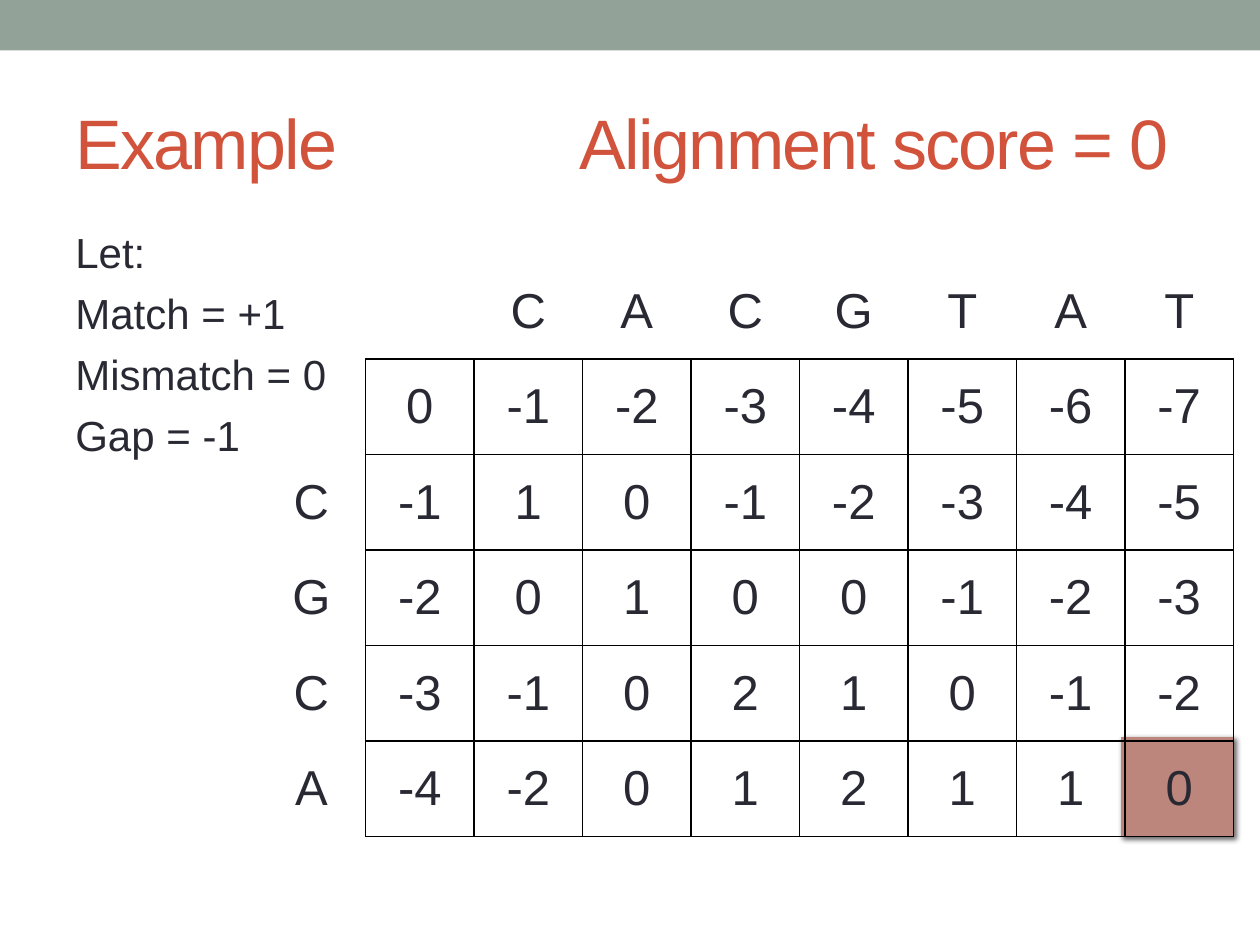
from dataclasses import dataclass
from itertools import product

from lxml.etree import SubElement
from pptx import Presentation
from pptx.dml.color import RGBColor as RGB
from pptx.enum.shapes import MSO_SHAPE as Shape
from pptx.enum.text import MSO_ANCHOR as Anchor, PP_ALIGN as Align
from pptx.oxml.ns import qn
from pptx.util import Emu, Inches, Pt

SLIDE_W, SLIDE_H = Inches(10), Inches(7.5)
TOP_SEQ, SIDE_SEQ = "CACGTAT", "CGCA"
MATCH, MISMATCH, GAP = 1, 0, -1


@dataclass(frozen=True)
class Theme:
    font: str = "Arial"
    band: str = "93A299"
    title: str = "D2533C"
    text: str = "292934"
    highlight: str = "BD867C"
    border: str = "000000"
    title_size: int = 40
    body_size: int = 24
    cell_size: int = 28


@dataclass(frozen=True)
class Box:
    x: int
    y: int
    w: int
    h: int

    @classmethod
    def share(cls, x, y, w, h):
        """Box given as percentages of the slide's width and height."""
        return cls(*(Emu(round(v * side / 100)) for v, side in
                     zip((x, y, w, h), (SLIDE_W, SLIDE_H) * 2)))

    def cell(self, row, col, rows, cols):
        w, h = self.w / cols, self.h / rows
        return Box(*(Emu(round(v)) for v in (self.x + col * w, self.y + row * h, w, h)))

    def grow(self, left, top):
        return Box(self.x - left, self.y - top, self.w + left, self.h + top)

    @property
    def at(self):
        return self.x, self.y, self.w, self.h


THEME = Theme()


def alignment_scores(top, side):
    """Fill the global alignment matrix, one list per row."""
    scores = [[GAP * c for c in range(len(top) + 1)]]
    for r, b in enumerate(side, 1):
        row = [GAP * r]
        for c, a in enumerate(top, 1):
            diagonal = scores[-1][c - 1] + (MATCH if a == b else MISMATCH)
            row.append(max(diagonal, scores[-1][c] + GAP, row[-1] + GAP))
        scores.append(row)
    return scores


def style(p, size, color):
    p.font.name, p.font.size = THEME.font, Pt(size)
    p.font.color.rgb = RGB.from_string(color)


def add_rect(s, box, color):
    sp = s.shapes.add_shape(Shape.RECTANGLE, *box.at)
    sp.shadow.inherit = False
    sp.fill.solid()
    sp.fill.fore_color.rgb = RGB.from_string(color)
    sp.line.fill.background()
    return sp


def add_text(s, box, lines, size, color, anchor=Anchor.TOP, before=0):
    tf = s.shapes.add_textbox(*box.at).text_frame
    tf.word_wrap, tf.vertical_anchor = True, anchor
    for i, line in enumerate(lines):
        p = tf.add_paragraph() if i else tf.paragraphs[0]
        p.text, p.space_before = line, Pt(before)
        style(p, size, color)
    return tf


def add_title(s, box, left, right):
    """Two headings on one line, parted by a tab stop."""
    tf = add_text(s, box, [f"{left}\t{right}"], THEME.title_size, THEME.title, Anchor.MIDDLE)
    p = tf.paragraphs[0]
    tabs = SubElement(p._p.get_or_add_pPr(), qn("a:tabLst"))
    p._p.pPr.insert_element_before(tabs, "a:defRPr", "a:extLst")
    SubElement(tabs, qn("a:tab"), pos=str(Inches(4)), algn="l")
    for r in p.runs:
        r._r.get_or_add_rPr().set("spc", "-100")


def add_highlight(s, box):
    sp = add_rect(s, box, THEME.highlight)
    sp.line.color.rgb = RGB.from_string(THEME.highlight)
    sp.line.width = Pt(0.75)
    effects = sp._element.spPr.find(qn("a:effectLst"))
    shadow = SubElement(effects, qn("a:outerShdw"), blurRad=str(Pt(3)), dist=str(Pt(2)),
                        dir=str(45 * 60000), algn="tl", rotWithShape="0")
    color = SubElement(shadow, qn("a:srgbClr"), val="000000")
    SubElement(color, qn("a:alpha"), val="60000")


def set_borders(cell, visible):
    """Draw the sides named in visible (of L, R, T, B) and hide the others."""
    tcPr = cell._tc.get_or_add_tcPr()
    for side in "LRTB":
        ln = SubElement(tcPr, qn(f"a:ln{side}"), w=str(Pt(1)))
        if side in visible:
            fill = SubElement(ln, qn("a:solidFill"))
            SubElement(fill, qn("a:srgbClr"), val=THEME.border)
        else:
            SubElement(ln, qn("a:noFill"))


def add_score_table(s, box, top, side):
    scores = alignment_scores(top, side)
    grid = [["", "", *top]] + [[b, *row] for b, row in zip(["", *side], scores)]
    rows, cols = len(grid), len(grid[0])
    last = box.cell(rows - 1, cols - 1, rows, cols)
    add_highlight(s, last.grow(Inches(0.03), Inches(0.03)))

    table = s.shapes.add_table(rows, cols, *box.at).table
    table.first_row = table.horz_banding = False
    for r, c in product(range(rows), range(cols)):
        cell = table.cell(r, c)
        if r and c:
            set_borders(cell, "LRTB")
        else:
            set_borders(cell, "R" if r else "B" if c else "")
        cell.fill.background()
        cell.vertical_anchor = Anchor.MIDDLE
        p = cell.text_frame.paragraphs[0]
        p.text, p.alignment = str(grid[r][c]), Align.CENTER
        style(p, THEME.cell_size, THEME.text)


def main():
    prs = Presentation()
    prs.slide_width, prs.slide_height = SLIDE_W, SLIDE_H
    s = prs.slides.add_slide(prs.slide_layouts[6])
    final = alignment_scores(TOP_SEQ, SIDE_SEQ)[-1][-1]
    rules = ["Let:", f"Match = {MATCH:+d}", f"Mismatch = {MISMATCH}", f"Gap = {GAP}"]

    add_rect(s, Box.share(0, 0, 100, 5.33), THEME.band)
    add_title(s, Box.share(5, 7.73, 90, 14.4), "Example", f"Alignment score = {final}")
    add_text(s, Box.share(5, 23.33, 22.4, 18.4), rules, THEME.body_size, THEME.text, before=6)
    add_score_table(s, Box.share(20.4, 27.87, 77.5, 60.67), TOP_SEQ, SIDE_SEQ)
    prs.save("out.pptx")


if __name__ == "__main__":
    main()
